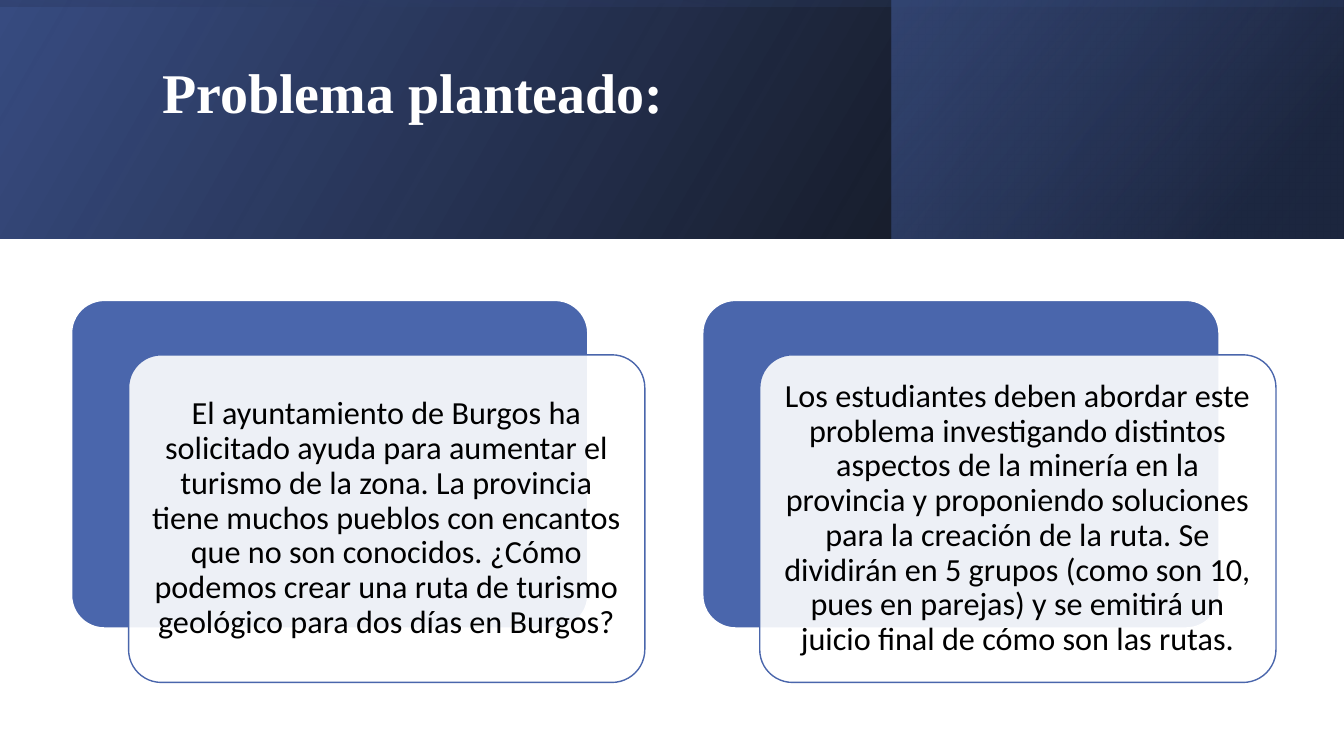
from lxml.etree import SubElement
from pptx import Presentation
from pptx.dml.color import RGBColor
from pptx.enum.shapes import MSO_SHAPE
from pptx.enum.text import MSO_ANCHOR, PP_ALIGN
from pptx.oxml.ns import qn
from pptx.util import Inches, Pt

BLACK = RGBColor(0x00, 0x00, 0x00)
WHITE = RGBColor(0xFF, 0xFF, 0xFF)
BLUE = RGBColor(0x4A, 0x66, 0xAC)
DEEP_BLUE = RGBColor(0x38, 0x4C, 0x81)
NAVY = RGBColor(0x25, 0x33, 0x56)

TITLE = "Problema planteado:"
CARDS = [
    "El ayuntamiento de Burgos ha solicitado ayuda para aumentar el turismo de la zona. "
    "La provincia tiene muchos pueblos con encantos que no son conocidos. "
    "¿Cómo podemos crear una ruta de turismo geológico para dos días en Burgos?",
    "Los estudiantes deben abordar este problema investigando distintos aspectos de la "
    "minería en la provincia y proponiendo soluciones para la creación de la ruta. "
    "Se dividirán en 5 grupos (como son 10, pues en parejas) y se emitirá un juicio "
    "final de cómo son las rutas.",
]

WIDTH, HEIGHT = 13.33, 7.5
BAND_HEIGHT = 2.37
PANEL_LEFT, PANEL_WIDTH = 8.84, 4.48
MIDDLE = (WIDTH - BAND_HEIGHT) / 2
BANDS = [
    {"box": (0, 0, WIDTH, BAND_HEIGHT), "rotation": 0, "angle": 30,
     "stops": [(0, BLACK, 96), (1, DEEP_BLUE, 100)]},
    {"box": (PANEL_LEFT, 0, PANEL_WIDTH, BAND_HEIGHT), "rotation": 0, "angle": 40,
     "stops": [(0.19, NAVY, 68), (1, BLUE, 48)]},
    {"box": (MIDDLE, -MIDDLE, BAND_HEIGHT, WIDTH), "rotation": 270, "angle": 10,
     "stops": [(0.23, DEEP_BLUE, 16), (0.99, BLACK, 45)]},
]

CARD_LEFT, CARD_TOP = 0.71, 2.98
CARD_WIDTH, CARD_HEIGHT = 5.12, 3.25
CARD_PITCH = 6.26
FRONT_SHIFT = (0.565, 0.54)


def set_format(target, values):
    for name, value in values.items():
        setattr(target, name, value)


def set_alpha(color_element, percent):
    SubElement(color_element, qn("a:alpha")).set("val", str(percent * 1000))


def add_band(slide, band):
    shape = slide.shapes.add_shape(MSO_SHAPE.RECTANGLE, *map(Inches, band["box"]))
    shape.shadow.inherit = False
    shape.line.fill.background()
    shape.rotation = band["rotation"]
    properties = shape.element.spPr
    properties.find(qn("a:xfrm")).set("flipH", "1")
    shape.fill.gradient()
    shape.fill.gradient_angle = band["angle"]
    for stop, (position, color, _) in zip(shape.fill.gradient_stops, band["stops"]):
        stop.position = position
        stop.color.rgb = color
    for element, (_, _, alpha) in zip(properties.iter(qn("a:srgbClr")), band["stops"]):
        set_alpha(element, alpha)


def add_card(slide, left, top, fill, outline):
    shape = slide.shapes.add_shape(
        MSO_SHAPE.ROUNDED_RECTANGLE,
        *map(Inches, (left, top, CARD_WIDTH, CARD_HEIGHT)))
    shape.adjustments[0] = 0.1
    shape.shadow.inherit = False
    shape.fill.solid()
    shape.fill.fore_color.rgb = fill
    shape.line.color.rgb = outline
    shape.line.width = Pt(1)
    return shape


def write(shape, text, frame_format, paragraph_format, font_format, color):
    frame = shape.text_frame
    frame.text = text
    set_format(frame, {"word_wrap": True, "vertical_anchor": MSO_ANCHOR.MIDDLE,
                       **frame_format})
    paragraph = frame.paragraphs[0]
    set_format(paragraph, {"line_spacing": 0.9, **paragraph_format})
    font = paragraph.runs[0].font
    set_format(font, font_format)
    font.color.rgb = color


def add_title(slide):
    title = slide.shapes.title
    title.element.getparent().append(title.element)
    set_format(title, {"left": Inches(1.51), "top": Inches(0.38),
                       "width": Inches(10.63), "height": Inches(1.72)})
    write(title, TITLE, {"margin_bottom": Inches(0.63)}, {"alignment": PP_ALIGN.LEFT},
          {"name": "Times New Roman", "size": Pt(40), "bold": True}, WHITE)


def main():
    presentation = Presentation()
    presentation.slide_width = Inches(WIDTH)
    presentation.slide_height = Inches(HEIGHT)
    slide = presentation.slides.add_slide(presentation.slide_layouts[5])

    for band in BANDS:
        add_band(slide, band)
    add_title(slide)

    margins = {f"margin_{side}": Inches(0.1) for side in ("left", "top", "right", "bottom")}
    for column, text in enumerate(CARDS):
        left = CARD_LEFT + column * CARD_PITCH
        add_card(slide, left, CARD_TOP, BLUE, WHITE)
        front = add_card(slide, left + FRONT_SHIFT[0], CARD_TOP + FRONT_SHIFT[1], WHITE, BLUE)
        set_alpha(front.element.spPr.find(qn("a:solidFill"))[0], 90)
        write(front, text, margins, {"alignment": PP_ALIGN.CENTER},
              {"name": "Calibri", "size": Pt(23)}, BLACK)

    presentation.save("out.pptx")


if __name__ == "__main__":
    main()
